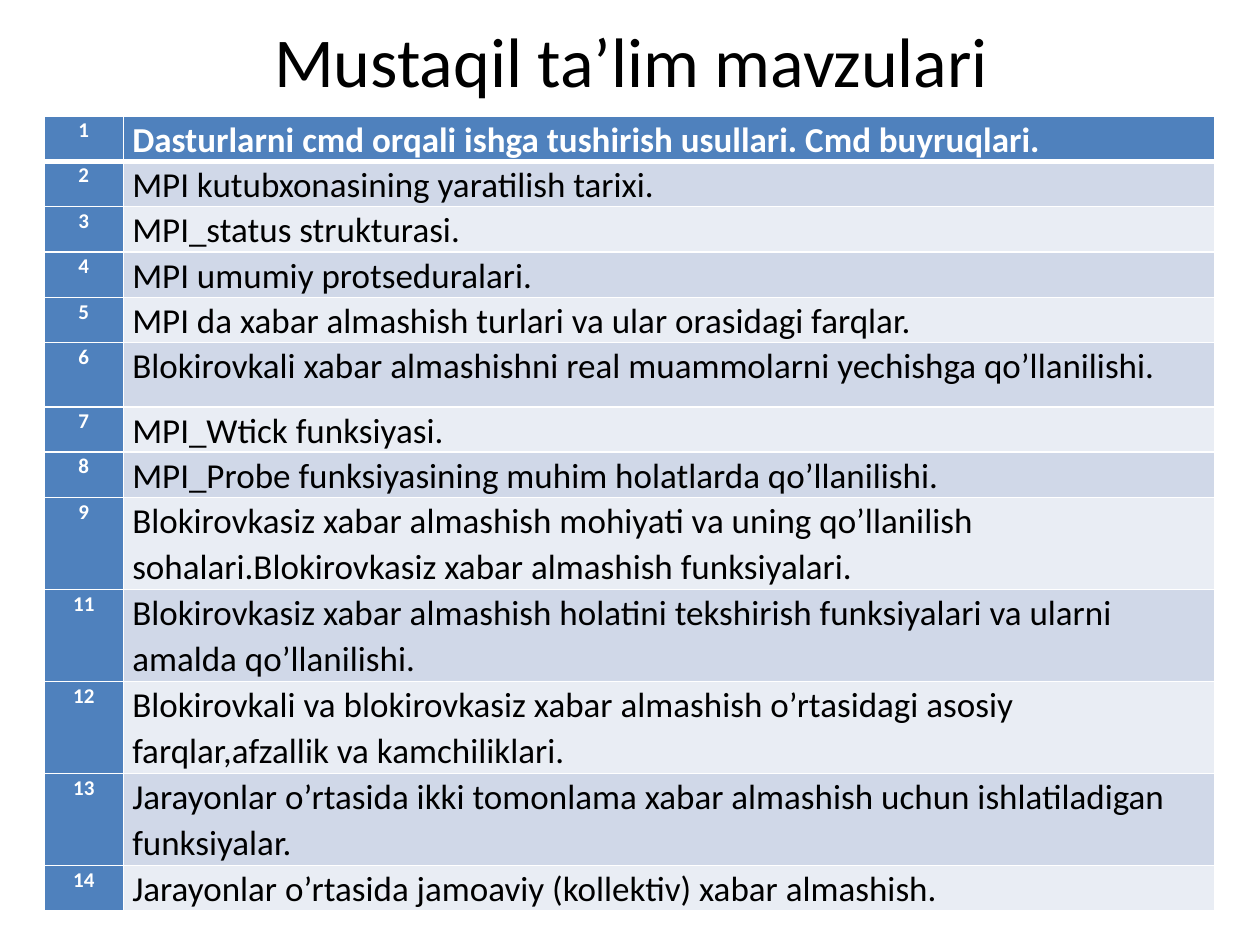
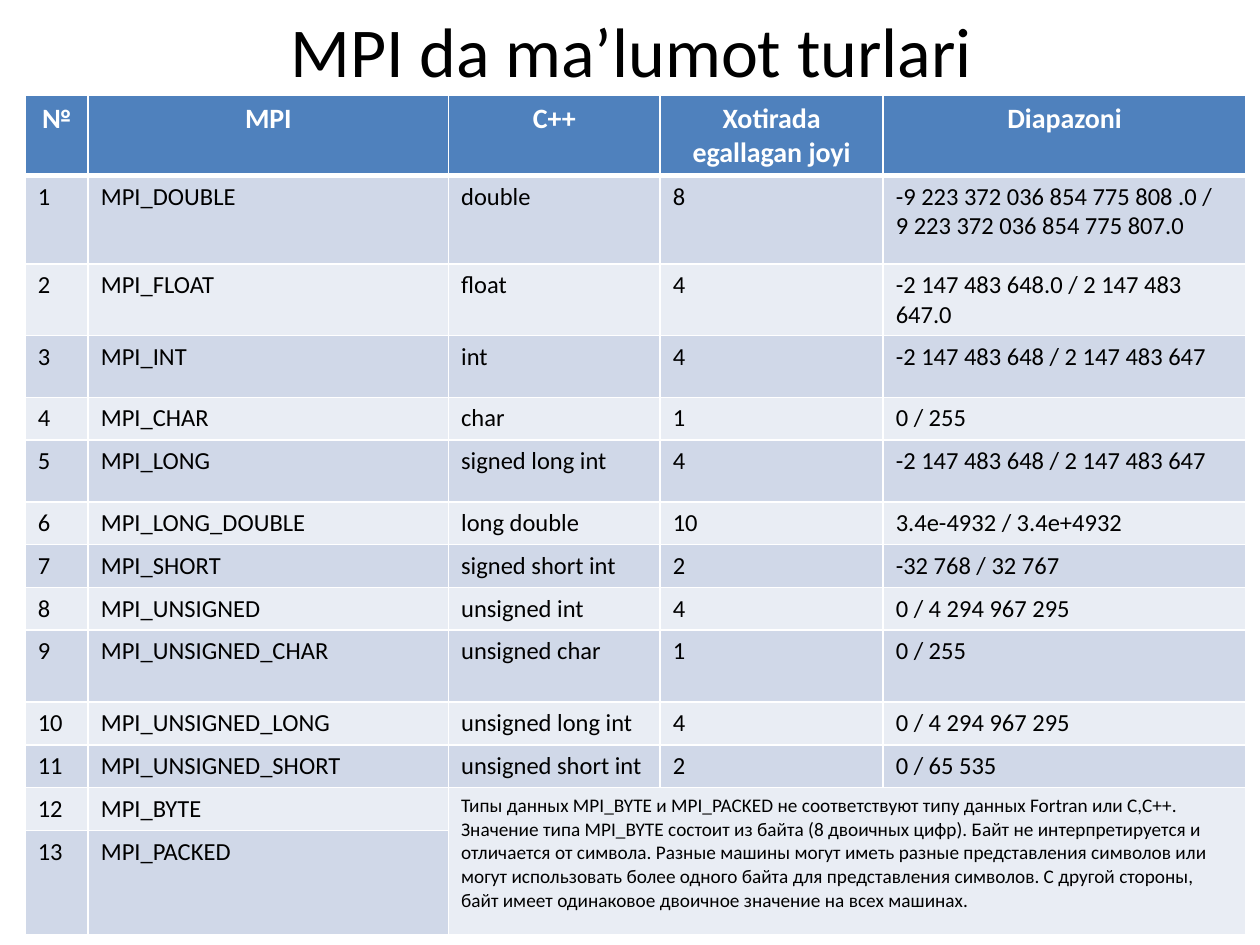
from lxml.etree import SubElement
from pptx import Presentation
from pptx.dml.color import RGBColor
from pptx.enum.text import MSO_ANCHOR, PP_ALIGN
from pptx.oxml.ns import qn
from pptx.util import Inches, Pt

# Content: number and topic
TOPICS = [
    ("1", "Dasturlarni cmd orqali ishga tushirish usullari. Cmd buyruqlari."),
    ("2", "MPI kutubxonasining yaratilish tarixi."),
    ("3", "MPI_status strukturasi."),
    ("4", "MPI umumiy protseduralari."),
    ("5", "MPI da xabar almashish turlari va ular orasidagi farqlar."),
    ("6", "Blokirovkali xabar almashishni real muammolarni yechishga qo’llanilishi."),
    ("7", "MPI_Wtick funksiyasi."),
    ("8", "MPI_Probe funksiyasining muhim holatlarda qo’llanilishi."),
    ("9", "Blokirovkasiz xabar almashish mohiyati va uning qo’llanilish "
          "sohalari.Blokirovkasiz xabar almashish funksiyalari."),
    ("11", "Blokirovkasiz xabar almashish holatini tekshirish funksiyalari va ularni "
           "amalda qo’llanilishi."),
    ("12", "Blokirovkali va blokirovkasiz xabar almashish o’rtasidagi asosiy "
           "farqlar,afzallik va kamchiliklari."),
    ("13", "Jarayonlar o’rtasida ikki tomonlama xabar almashish uchun ishlatiladigan "
           "funksiyalar."),
    ("14", "Jarayonlar o’rtasida jamoaviy (kollektiv) xabar almashish."),
]
TYPE_HEADER = ("№", "MPI", "C++", "Xotirada egallagan joyi", "Diapazoni")
# MPI type, C++ type, bytes, range
TYPES = [
    ("MPI_DOUBLE", "double", "8",
     "-9 223 372 036 854 775 808 .0 /\v9 223 372 036 854 775 807.0"),
    ("MPI_FLOAT", "float", "4", "-2 147 483 648.0 / 2 147 483 647.0"),
    ("MPI_INT", "int", "4", "-2 147 483 648 / 2 147 483 647"),
    ("MPI_CHAR", "char", "1", "0 / 255"),
    ("MPI_LONG", "signed long int", "4", "-2 147 483 648 / 2 147 483 647"),
    ("MPI_LONG_DOUBLE", "long double", "10", "3.4e-4932 / 3.4e+4932"),
    ("MPI_SHORT", "signed short int", "2", "-32 768 / 32 767"),
    ("MPI_UNSIGNED", "unsigned int", "4", "0 / 4 294 967 295"),
    ("MPI_UNSIGNED_CHAR", "unsigned char", "1", "0 / 255"),
    ("MPI_UNSIGNED_LONG", "unsigned long int", "4", "0 / 4 294 967 295"),
    ("MPI_UNSIGNED_SHORT", "unsigned short int", "2", "0 / 65 535"),
    ("MPI_BYTE", "Типы данных MPI_BYTE и MPI_PACKED не соответствуют типу данных "
     "Fortran или C,C++. Значение типа MPI_BYTE состоит из байта (8 двоичных цифр). "
     "Байт не интерпретируется и отличается от символа. Разные машины могут иметь "
     "разные представления символов или могут использовать более одного байта для "
     "представления символов. С другой стороны, байт имеет одинаковое двоичное "
     "значение на всех машинах.", "", ""),
    ("MPI_PACKED", "", "", ""),
]

THEME = {
    "font": "Calibri", "text": "000000", "line": "FFFFFF", "head": "4F81BD",
    "head_text": "FFFFFF", "bands": ("E9EDF4", "D0D8E8"),
    "title": 40, "topic": 20, "number": 12, "type_head": 16, "type": 14, "note": 11,
}

# Grid, in inches
TOPIC_COLS, TOPIC_ROW = (0.63, 8.66), 0.36
TOPIC_TALL = {5: 0.51, 8: 0.73, 9: 0.73, 10: 0.73, 11: 0.73}
TYPE_COLS, TYPE_ROW = (0.5, 2.86, 1.68, 1.77, 2.88), 0.34
TYPE_TALL = {0: 0.63, 1: 0.7, 2: 0.57, 3: 0.49, 5: 0.49, 9: 0.57, 13: 0.83}


def style(p, size, color, bold=False, align=PP_ALIGN.LEFT):
    p.font.name, p.font.size, p.font.bold = THEME["font"], Pt(size), bold
    p.font.color.rgb = RGBColor.from_string(color)
    p.alignment = align


def add_title(s, text, top, height):
    tf = s.shapes.add_textbox(Inches(0.51), Inches(top), Inches(9), Inches(height)).text_frame
    tf.word_wrap = True
    tf.vertical_anchor = MSO_ANCHOR.MIDDLE
    tf.text = text
    style(tf.paragraphs[0], THEME["title"], THEME["text"], align=PP_ALIGN.CENTER)


def set_borders(cell, widths):
    tcPr = cell._tc.get_or_add_tcPr()
    for side, width in zip("LRTB", widths):
        ln = SubElement(tcPr, qn(f"a:ln{side}"), w=str(Pt(width)))
        fill = SubElement(ln, qn("a:solidFill"))
        SubElement(fill, qn("a:srgbClr"), val=THEME["line"])


def add_table(s, left, top, cols, rows, row_height, tall, head_col=False):
    """Add a banded table with a header row and return it."""
    heights = [tall.get(i, row_height) for i in range(len(rows))]
    table = s.shapes.add_table(len(rows), len(cols), Inches(left), Inches(top),
                               Inches(sum(cols)), Inches(sum(heights))).table
    table.first_col = head_col
    for column, width in zip(table.columns, cols):
        column.width = Inches(width)
    for i, (row, height) in enumerate(zip(rows, heights)):
        table.rows[i].height = Inches(height)
        for j, text in enumerate(row):
            cell = table.cell(i, j)
            cell.text = text
            set_borders(cell, (1, 1, 3 if i == 1 else 1, 3 if i == 0 else 1))
            is_head = i == 0 or (head_col and j == 0)
            cell.fill.solid()
            cell.fill.fore_color.rgb = RGBColor.from_string(
                THEME["head"] if is_head else THEME["bands"][i % 2])
    return table


def build_topics(s):
    add_title(s, "Mustaqil ta’lim mavzulari", 0.03, 0.88)
    table = add_table(s, 0.35, 0.92, TOPIC_COLS, TOPICS, TOPIC_ROW, TOPIC_TALL, head_col=True)
    for i, row in enumerate(table.rows):
        for j, cell in enumerate(row.cells):
            cell.margin_left = cell.margin_right = Inches(0.07)
            cell.margin_top = cell.margin_bottom = 0
            p = cell.text_frame.paragraphs[0]
            p.line_spacing, p.space_after = 1.07, Pt(8)
            is_head = i == 0 or j == 0
            style(p, THEME["topic" if j else "number"],
                  THEME["head_text" if is_head else "text"], is_head,
                  PP_ALIGN.LEFT if j else PP_ALIGN.CENTER)


def build_types(s):
    add_title(s, "MPI da ma’lumot turlari", 0, 0.79)
    rows = [TYPE_HEADER] + [(str(n), *row) for n, row in enumerate(TYPES, 1)]
    table = add_table(s, 0.2, 0.76, TYPE_COLS, rows, TYPE_ROW, TYPE_TALL)
    for i, row in enumerate(table.rows):
        for cell in row.cells:
            p = cell.text_frame.paragraphs[0]
            if i == 0:
                style(p, THEME["type_head"], THEME["head_text"], True, PP_ALIGN.CENTER)
            else:
                style(p, THEME["type"], THEME["text"])
    # One note shared by the last two types
    note = table.cell(12, 2)
    note.merge(table.cell(13, 4))
    style(note.text_frame.paragraphs[0], THEME["note"], THEME["text"])


def main():
    prs = Presentation()
    prs.slide_width, prs.slide_height = Inches(10), Inches(7.5)
    for build in (build_topics, build_types):
        build(prs.slides.add_slide(prs.slide_layouts[6]))
    prs.save("out.pptx")


if __name__ == "__main__":
    main()
